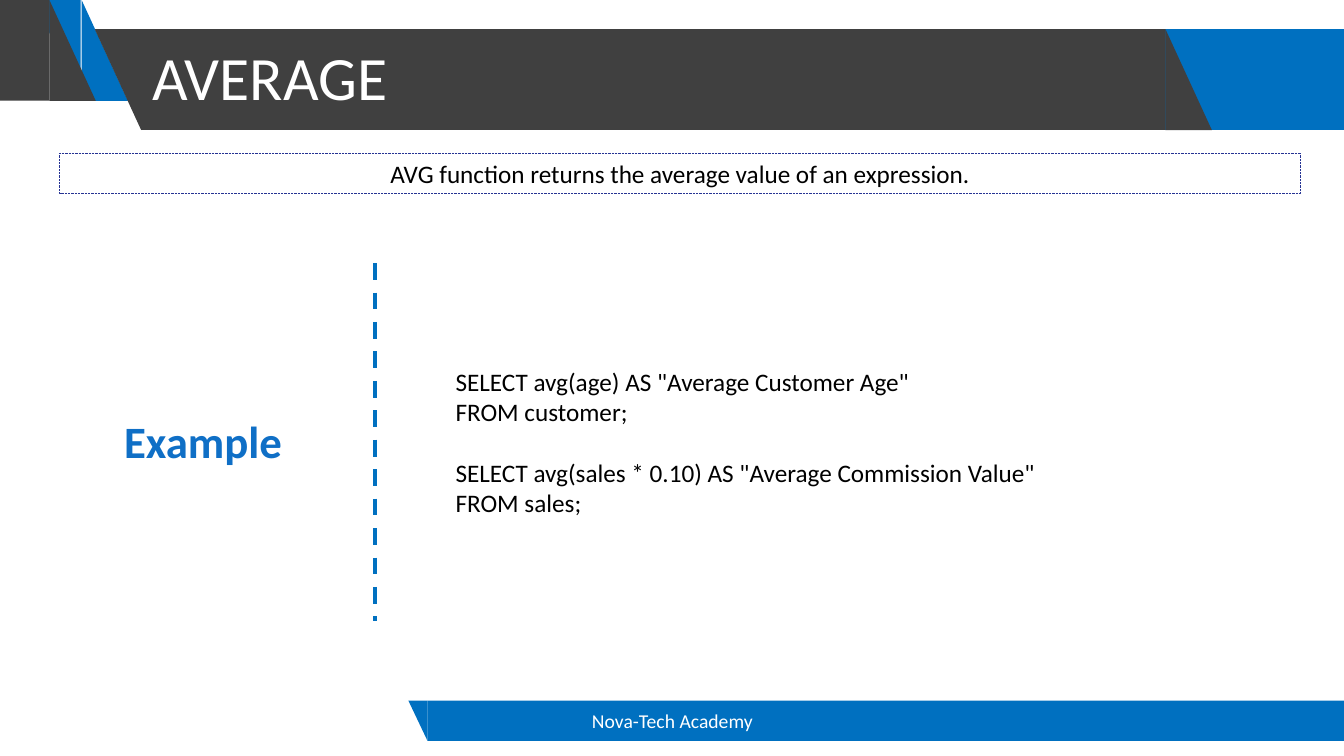
from lxml.etree import SubElement
from pptx import Presentation
from pptx.dml.color import RGBColor
from pptx.enum.dml import MSO_LINE
from pptx.enum.shapes import MSO_CONNECTOR, MSO_SHAPE
from pptx.enum.text import MSO_ANCHOR, PP_ALIGN
from pptx.oxml.ns import qn
from pptx.util import Pt

PX = 9144  # 100 px to the inch
WIDE, HIGH = 1333, 750
FONT = "Calibri"
COLORS = {
    "blue": "0070C0",
    "dark": "404040",
    "label": "0F6FC6",
    "navy": "263393",
    "white": "FFFFFF",
    "black": "000000",
}
RECT, WEDGE = MSO_SHAPE.RECTANGLE, MSO_SHAPE.RIGHT_TRIANGLE


def color(name):
    return RGBColor.from_string(COLORS[name])


def emu(*sizes):
    return [size * PX for size in sizes]


def block(slide, kind, box, fill, turn=0):
    shape = slide.shapes.add_shape(kind, *emu(*box))
    shape.shadow.inherit = False
    shape.fill.solid()
    shape.fill.fore_color.rgb = color(fill)
    shape.line.fill.background()
    shape.rotation = turn
    return shape


def write(shape, lines, size, ink, align=PP_ALIGN.LEFT, anchor=MSO_ANCHOR.TOP, bold=False):
    """Fill a shape with one paragraph per line and return the paragraphs."""
    frame = shape.text_frame
    frame.word_wrap = True
    frame.vertical_anchor = anchor
    frame.text = "\n".join(lines)
    for par in frame.paragraphs:
        par.alignment = align
        par.font.name = FONT
        par.font.size = Pt(size)
        par.font.bold = bold
        par.font.color.rgb = color(ink)
    return frame.paragraphs


def label(slide, box, lines, size, ink, **style):
    return write(slide.shapes.add_textbox(*emu(*box)), lines, size, ink, **style)


def header(slide, box, title):
    """Draw a raised tab at the left, then a slanted title band below its top."""
    left, top, width, high = box
    tab, slant, drop = 49, 46, 29
    band, end = left + 140, left + 1156
    low = top + drop
    block(slide, RECT, (left + 1068, low, width - 1068, high), "blue")
    block(slide, WEDGE, (left + 81, top, slant, high), "blue")
    block(slide, WEDGE, (left + 34, top, slant, high), "blue", 180)
    block(slide, RECT, (left, top, tab, high), "dark")
    block(slide, WEDGE, (left + tab, top, slant, high), "dark")
    block(slide, WEDGE, (band - slant, low, slant, high), "dark", 180)
    block(slide, RECT, (band, low, end - band, high), "dark")
    block(slide, WEDGE, (end, low, slant, high), "dark")
    pars = label(slide, (band + 1, top + 7, end - band - 2, 145), [title], 44,
                 "white", anchor=MSO_ANCHOR.MIDDLE)
    pars[0].line_spacing = 0.9


def footer(slide, box, text):
    left, top, width, high = box
    slant = 19
    block(slide, RECT, (left + slant, top, width - slant, high), "blue")
    block(slide, WEDGE, (left, top, slant, high), "blue", 180)
    label(slide, (left + 37, top, 450, high), [text], 14, "white",
          align=PP_ALIGN.CENTER, anchor=MSO_ANCHOR.MIDDLE)


def summary(slide, box, text):
    shape = slide.shapes.add_shape(RECT, *emu(*box))
    shape.shadow.inherit = False
    shape.fill.background()
    shape.line.color.rgb = color("navy")
    shape.line.width = Pt(0.5)
    shape.line.dash_style = MSO_LINE.ROUND_DOT
    write(shape, [text], 18, "black", align=PP_ALIGN.CENTER)


def example(slide, box, name, queries):
    """Place a name left of a dashed rule and the queries right of it."""
    left, top, width, high = box
    split = left + 341
    rule = slide.shapes.add_connector(
        MSO_CONNECTOR.STRAIGHT, *emu(split, top, split, top + high))
    rule.line.color.rgb = color("blue")
    rule.line.width = Pt(3)
    rule.line.dash_style = MSO_LINE.DASH
    SubElement(rule._element.spPr, qn("a:effectLst"))
    label(slide, (left, top + 145, split - left, 64), [name], 32, "label",
          align=PP_ALIGN.CENTER, bold=True)
    start = split + 70
    lines = [line for query in queries for line in query]
    pars = label(slide, (start, top + 97, left + width - start, 162), lines, 18, "black")
    count = 0
    for query in queries[:-1]:
        count += len(query)
        pars[count].space_before = Pt(22)


def main():
    deck = Presentation()
    deck.slide_width, deck.slide_height = emu(WIDE, HIGH)
    slide = deck.slides.add_slide(deck.slide_layouts[6])
    header(slide, (0, 0, WIDE, 100), "AVERAGE")
    footer(slide, (405, 695, WIDE - 405, 40), "Nova-Tech Academy")
    summary(slide, (59, 152, 1231, 40),
            "AVG function returns the average value of an expression.")
    example(slide, (31, 261, 1237, 355), "Example", [
        ['SELECT avg(age) AS "Average Customer Age"', "FROM customer;"],
        ['SELECT avg(sales * 0.10) AS "Average Commission Value"', "FROM sales;"],
    ])
    deck.save("out.pptx")


if __name__ == "__main__":
    main()
